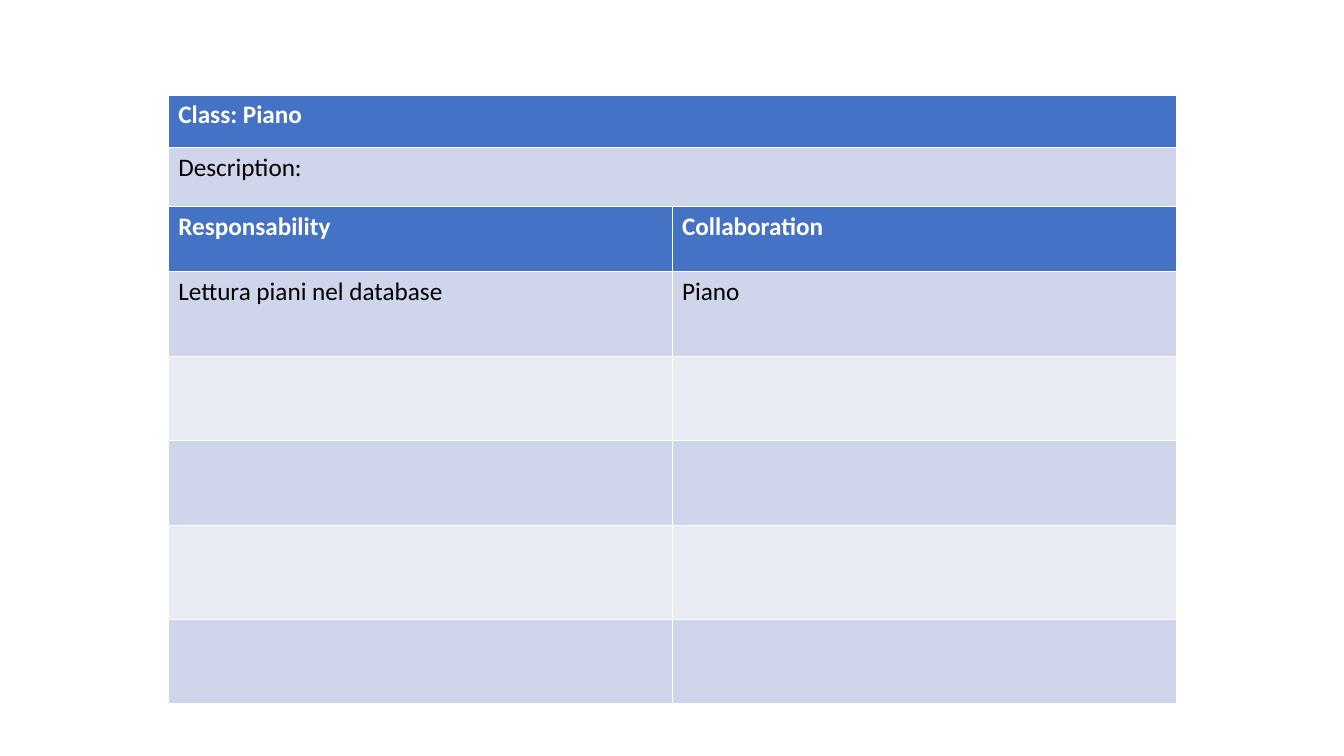
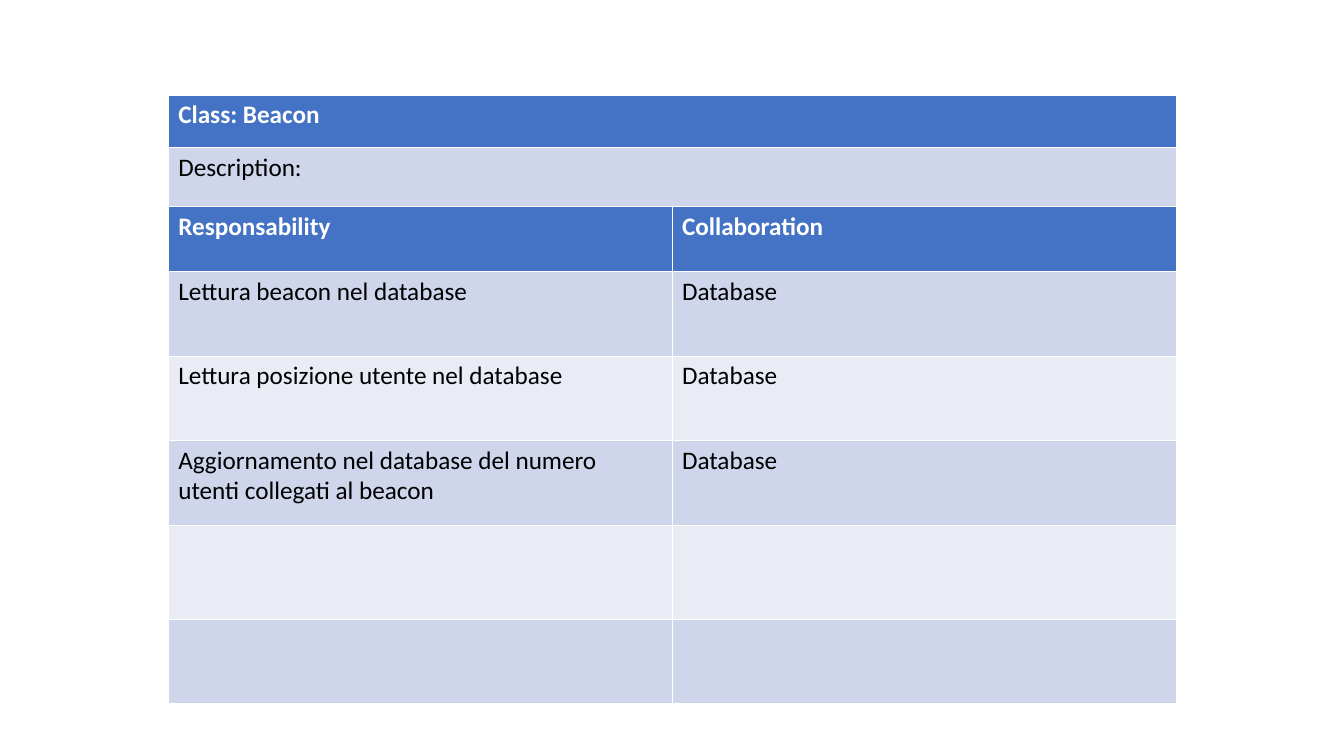
from lxml.etree import SubElement
from pptx import Presentation
from pptx.dml.color import RGBColor
from pptx.oxml.ns import qn
from pptx.util import Inches, Pt

WHITE = RGBColor(0xFF, 0xFF, 0xFF)
BLACK = RGBColor(0x00, 0x00, 0x00)
HEADER_BLUE = RGBColor(0x44, 0x72, 0xC4)
BAND_DARK = RGBColor(0xCF, 0xD5, 0xEA)
BAND_LIGHT = RGBColor(0xE9, 0xEB, 0xF5)

FONT = "Calibri"
HAIRLINE, HEADER_RULE = Pt(0.23), Pt(0.75)

CARD_LEFT, CARD_TOP, CARD_WIDTH = 1.67, 0.94, 10
HEADING_ROWS = [0.52, 0.59]
DUTY_ROWS = [0.64, 0.84, 0.84, 0.84, 0.93, 0.84]

CARDS = [
    ("Piano", [("Lettura piani nel database", "Piano")]),
    ("Beacon", [
        ("Lettura beacon nel database", "Database"),
        ("Lettura posizione utente nel database", "Database"),
        ("Aggiornamento nel database del numero utenti collegati al beacon",
         "Database"),
    ]),
]


def add_borders(cell, row):
    """Draw white borders, heavier between the header row and the next one."""
    widths = {
        "a:lnL": HAIRLINE,
        "a:lnR": HAIRLINE,
        "a:lnT": HEADER_RULE if row == 1 else HAIRLINE,
        "a:lnB": HEADER_RULE if row == 0 else HAIRLINE,
    }
    properties = cell._tc.get_or_add_tcPr()
    for side, width in widths.items():
        line = SubElement(properties, qn(side), w=str(int(width)))
        fill = SubElement(line, qn("a:solidFill"))
        SubElement(fill, qn("a:srgbClr"), val=str(WHITE))


def style_cell(cell, row, text):
    is_header = row == 0
    add_borders(cell, row)
    cell.fill.solid()
    if is_header:
        cell.fill.fore_color.rgb = HEADER_BLUE
    else:
        cell.fill.fore_color.rgb = BAND_DARK if row % 2 else BAND_LIGHT
    cell.text = text
    paragraph = cell.text_frame.paragraphs[0]
    paragraph.line_spacing = 0.98
    paragraph.font.name = FONT
    paragraph.font.size = Pt(18)
    paragraph.font.bold = is_header
    paragraph.font.color.rgb = WHITE if is_header else BLACK


def add_card_table(slide, top, heights, rows):
    """Add a full-width table with a header row; missing rows stay empty."""
    column_count = len(rows[0])
    table = slide.shapes.add_table(
        len(heights), column_count, Inches(CARD_LEFT), Inches(top),
        Inches(CARD_WIDTH), Inches(sum(heights))).table
    for row, height in enumerate(heights):
        table.rows[row].height = Inches(height)
        texts = rows[row] if row < len(rows) else [""] * column_count
        for column, text in enumerate(texts):
            style_cell(table.cell(row, column), row, text)


def add_class_card(slide, class_name, duties):
    add_card_table(slide, CARD_TOP + sum(HEADING_ROWS), DUTY_ROWS,
                   [("Responsability", "Collaboration"), *duties])
    add_card_table(slide, CARD_TOP, HEADING_ROWS,
                   [(f"Class: {class_name}",), ("Description:",)])


def main():
    presentation = Presentation()
    presentation.slide_width = Inches(13.34)
    presentation.slide_height = Inches(7.5)
    blank_layout = presentation.slide_layouts[6]
    for class_name, duties in CARDS:
        slide = presentation.slides.add_slide(blank_layout)
        add_class_card(slide, class_name, duties)
    presentation.save("out.pptx")


if __name__ == "__main__":
    main()
